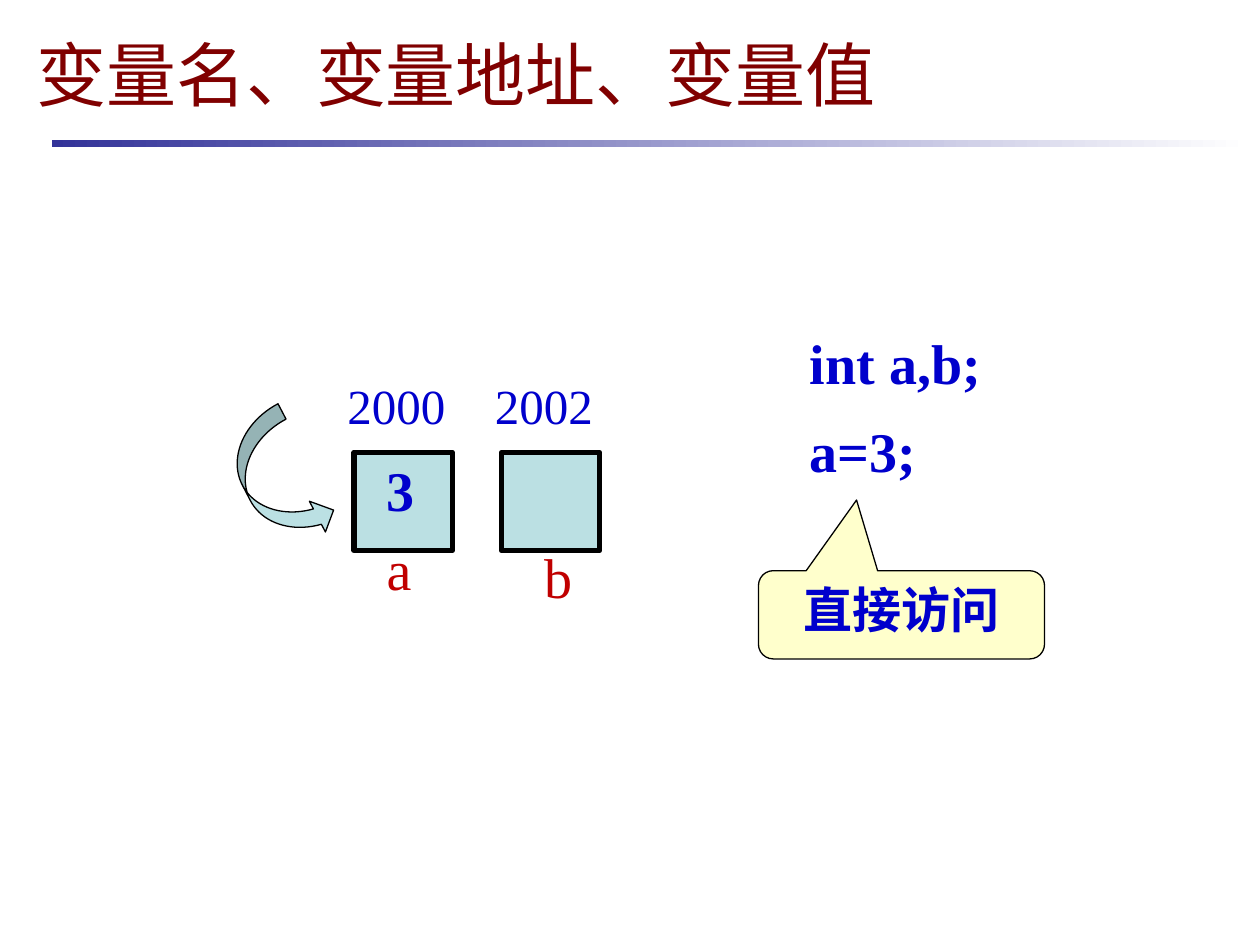
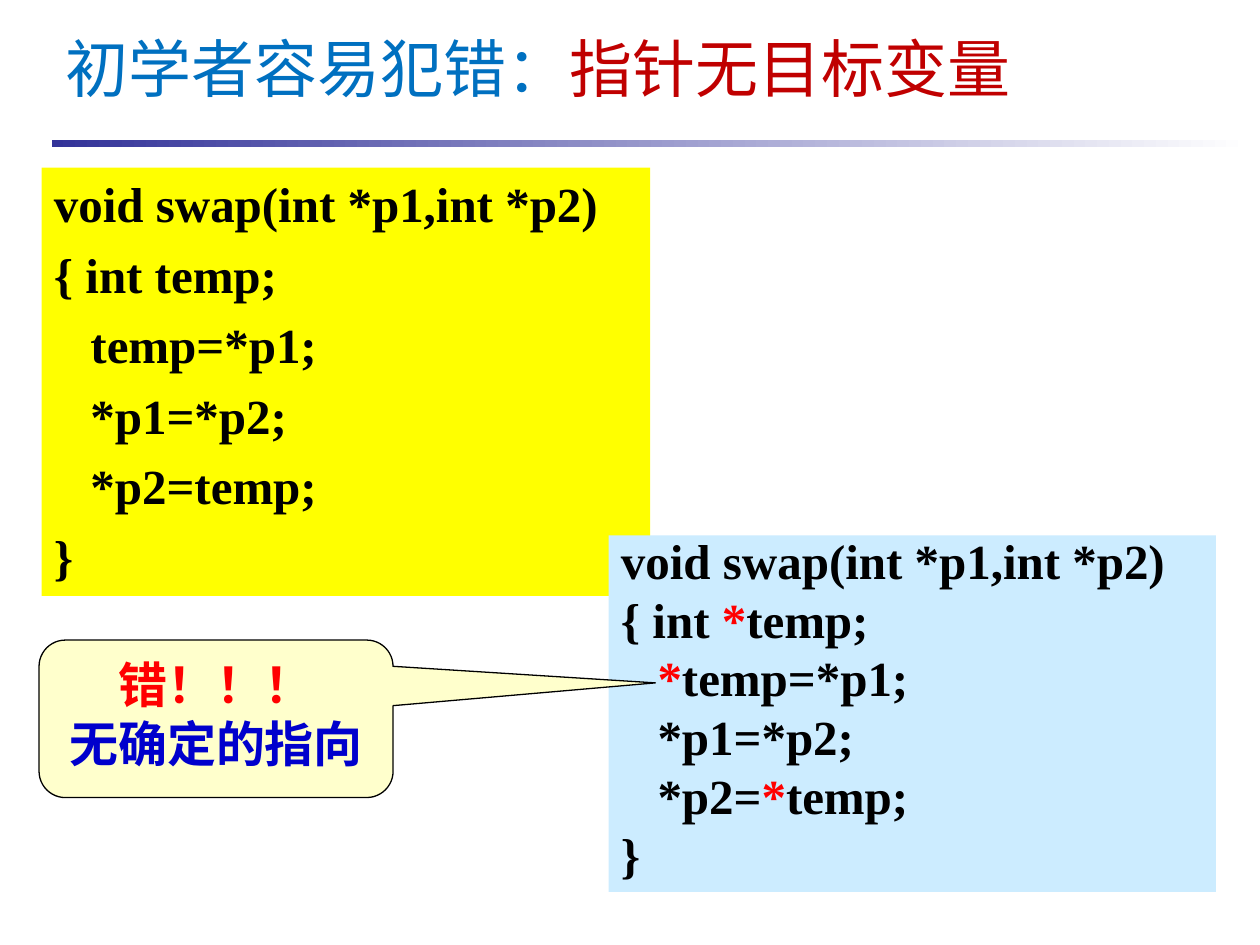
from pptx import Presentation
from pptx import util as u
from pptx.dml import color
from pptx.enum import shapes, text

COLS, ROWS = 100, 75
SERIF, SANS, CJK = "Times New Roman", "Arial", "Noto Sans CJK SC"
BLUE, RED, BRICK, BLACK = "0000CC", "FF0000", "C00000", "000000"
TEAL, CREAM = "BBE0E3", "FFFFCC"
TIGHT, GAP, TAB = 0.8, 0.24, 0.29
KIND = shapes.MSO_SHAPE
MID, TOP = text.MSO_ANCHOR.MIDDLE, text.MSO_ANCHOR.TOP

deck = Presentation()
deck.slide_width, deck.slide_height = u.Inches(10), u.Inches(7.5)


def rgb(code):
    return color.RGBColor.from_string(code)


def place(x, y, w, h):
    wide, high = deck.slide_width / COLS, deck.slide_height / ROWS
    return [round(n) for n in (x * wide, y * high, w * wide, h * high)]


def write(item, lines, size=28, font=SERIF, ink=BLUE, bold=False,
          align=text.PP_ALIGN.LEFT, anchor=TOP, lead=TIGHT, gap=GAP):
    frame = item.text_frame
    frame.word_wrap = True
    frame.vertical_anchor = anchor
    for row, line in enumerate(lines):
        para = frame.paragraphs[0] if row == 0 else frame.add_paragraph()
        para.alignment = align
        para.line_spacing = lead
        para.space_before = u.Pt(round(size * gap, 1))
        spans = [(line, ink)] if isinstance(line, str) else line
        if spans[0][0].startswith("\t"):
            para._p.get_or_add_pPr().set("marL", str(u.Inches(TAB)))
            spans = [(spans[0][0][1:], spans[0][1])] + spans[1:]
        for words, tint in spans:
            if not words:
                continue
            run = para.add_run()
            run.text = words
            run.font.size = u.Pt(size)
            run.font.name = font
            run.font.bold = bold
            run.font.color.rgb = rgb(tint)
            east = run.font._element.makeelement(
                "{http://schemas.openxmlformats.org/drawingml/2006/main}ea",
                {"typeface": CJK})
            run.font._element.append(east)


def label(slide, box, words, **style):
    write(slide.shapes.add_textbox(*place(*box)), [words], **style)


def shape(slide, kind, box, fill=None, line=None, adj=(), turn=0):
    item = slide.shapes.add_shape(kind, *place(*box))
    item.shadow.inherit = False
    item.rotation = turn
    for spot, part in enumerate(adj):
        item.adjustments[spot] = part
    if fill:
        item.fill.solid()
        item.fill.fore_color.rgb = rgb(fill)
    if line:
        item.line.color.rgb = rgb(BLACK)
        item.line.width = u.Pt(line)
    else:
        item.line.fill.background()
    return item


def callout(slide, box, tip, lines):
    item = shape(slide, KIND.ROUNDED_RECTANGULAR_CALLOUT, box, CREAM, 0.75,
                 (*tip, 0.167))
    write(item, lines, font=CJK, bold=True, anchor=MID,
          align=text.PP_ALIGN.CENTER)


def code(slide, box, fill, lines, lead):
    item = shape(slide, KIND.RECTANGLE, box, fill)
    write(item, lines, ink=BLACK, bold=True, lead=lead)


def page(box, title, **style):
    slide = deck.slides.add_slide(deck.slide_layouts[6])
    band = shape(slide, KIND.RECTANGLE, (4.1, 11.1, 95.1, 0.6))
    band.fill.gradient()
    band.fill.gradient_angle = 0
    for stop, tint in zip(band.fill.gradient_stops, ("333399", "FFFFFF")):
        stop.color.rgb = rgb(tint)
    label(slide, box, title, anchor=MID, gap=0, **style)
    return slide


def memory():
    slide = page((1.9, 1.6, 97.3, 8.4), "变量名、变量地址、变量值",
                 size=40, font=SANS, ink="800000", lead=1.0)
    step = 11.7
    cells = (("2000", "a", 29.7, 43), ("2002", "b", 42.2, 43.6))
    for col, (spot, name, x, y) in enumerate(cells):
        shape(slide, KIND.RECTANGLE, (28.1 + col * step, 35.9, 7.8, 7.8),
              TEAL, 3)
        label(slide, (26.6 + col * step, 30.2, step, 4.8), spot)
        label(slide, (x, y, 5.5, 5.3), name, size=32, ink=BRICK)
    label(slide, (29.7, 36.7, 4.7, 5.3), "3", size=32, bold=True)
    for row, words in enumerate(("int a,b;", "a=3;")):
        label(slide, (63.3, 26.6 + row * 7, 20.3, 5.3), words, size=32,
              bold=True)
    shape(slide, KIND.CURVED_RIGHT_ARROW, (19.4, 32.7, 5.5, 10.9), TEAL,
          0.75, (0.25, 0.5, 0.25), 332.4)
    callout(slide, (60.2, 45.3, 22.7, 7), (-0.157, -1.302), ["直接访问"])


def swap():
    title = [("初学者容易犯错：", "0070C0"), ("指针无目标变量", BRICK)]
    slide = page((4.2, 2.5, 93.3, 6.7), title, size=36, font=CJK,
                 lead=u.Pt(36))
    head, star = "void swap(int *p1,int *p2)", ("*", RED)
    code(slide, (3.3, 13.3, 48.3, 34), "FFFF00",
         [head, "{ int temp;", "\ttemp=*p1;", "\t*p1=*p2;", "\t*p2=temp;",
          "}"], 1.0)
    code(slide, (48.3, 42.5, 48.2, 28.3), "CCECFF",
         [head,
          [("{ int ", BLACK), star, ("temp;", BLACK)],
          [("\t", BLACK), star, ("temp=*p1;", BLACK)],
          "\t*p1=*p2;",
          [("\t*p2=", BLACK), star, ("temp;", BLACK)],
          "}"], TIGHT)
    callout(slide, (3.1, 50.8, 28.1, 12.5), (1.241, -0.228),
            [[("错！！！", RED)], "无确定的指向"])


def main():
    memory()
    swap()
    deck.save("out.pptx")


if __name__ == "__main__":
    main()
